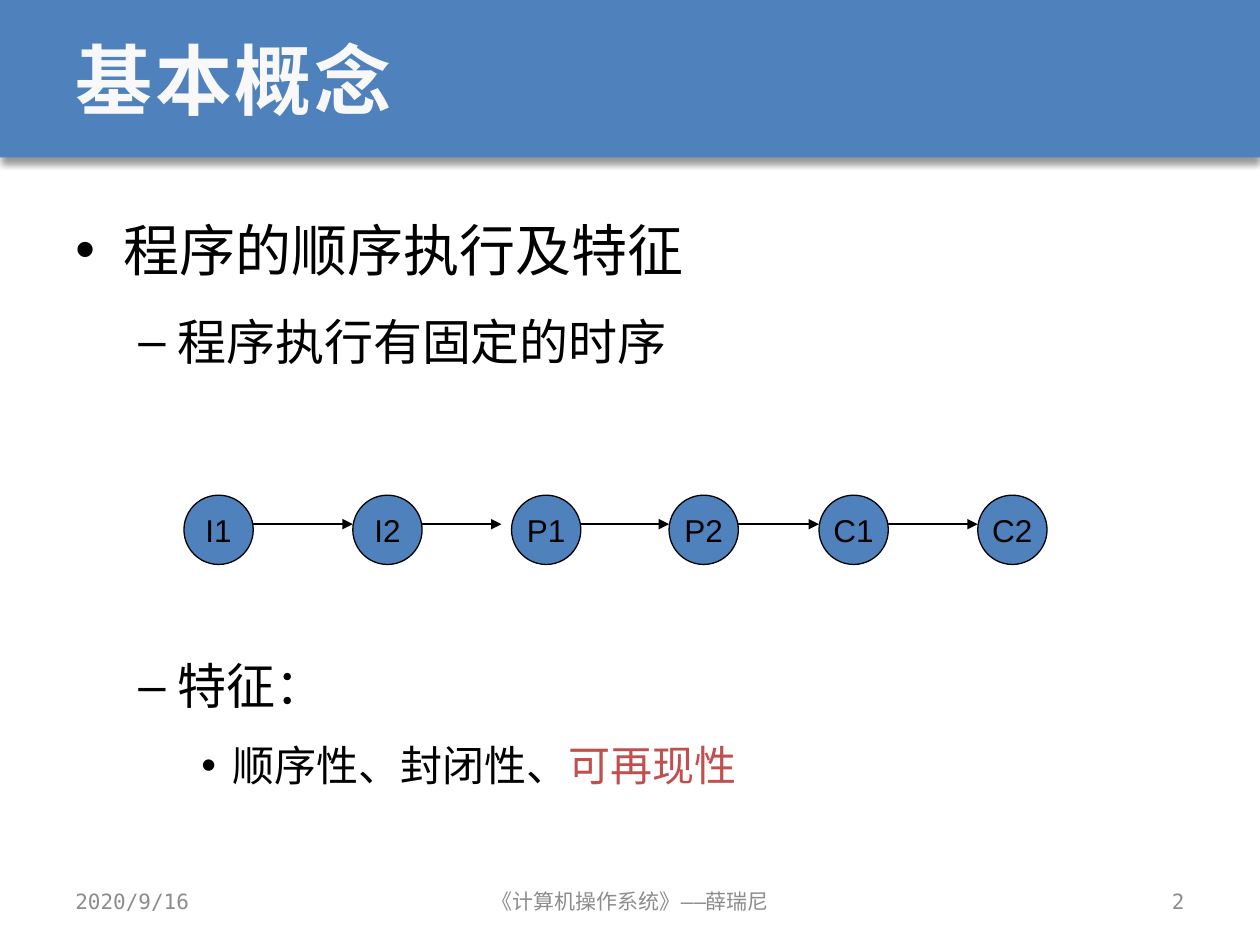
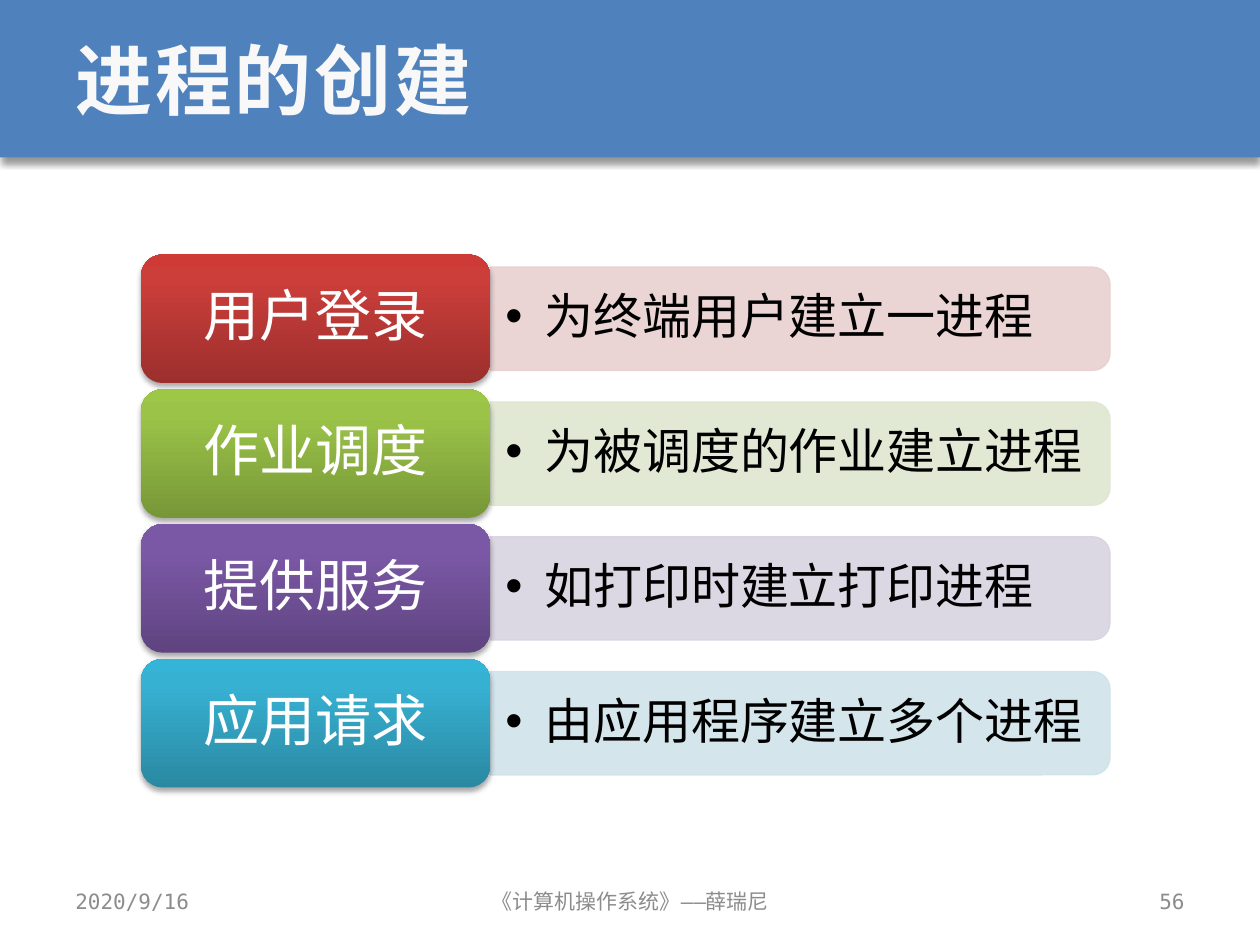
from lxml.etree import SubElement
from pptx import Presentation
from pptx.dml.color import RGBColor
from pptx.enum.shapes import MSO_CONNECTOR, MSO_SHAPE
from pptx.enum.text import MSO_ANCHOR, MSO_AUTO_SIZE, PP_ALIGN
from pptx.oxml import parse_xml
from pptx.oxml.ns import nsdecls, qn
from pptx.util import Inches, Pt

COLORS = {
    "band": "4F81BD",
    "title": "F8F8F8",
    "text": "000000",
    "accent": "C0504D",
    "footer": "8C8C8C",
    "white": "FFFFFF",
}
MONO, SANS, CJK = "DejaVu Sans Mono", "Arial", "Noto Sans CJK SC"


def write(paragraph, text, size=12, font=MONO, color="text", bold=False, spacing=None):
    """Add one formatted run to a paragraph."""
    run = paragraph.add_run()
    run.text = text
    run.font.size = Pt(size)
    run.font.bold = bold
    run.font.color.rgb = RGBColor.from_string(COLORS[color])
    run.font.name = font
    properties = run._r.get_or_add_rPr()
    SubElement(properties, qn("a:ea")).set("typeface", font)
    if spacing:
        properties.set("spc", str(int(spacing * 100)))


def set_bullet(paragraph, character, left, hanging):
    """Give a paragraph a bullet with a hanging indent."""
    properties = paragraph._p.get_or_add_pPr()
    properties.set("marL", str(Inches(left)))
    properties.set("indent", str(-Inches(hanging)))
    SubElement(properties, qn("a:buFont")).set("typeface", SANS)
    SubElement(properties, qn("a:buChar")).set("char", character)


def add_shadow(shape, blur, distance, opacity):
    """Cast a black shadow straight down."""
    shape._element.spPr.append(parse_xml(
        f'<a:effectLst {nsdecls("a")}><a:outerShdw blurRad="{Pt(blur)}" '
        f'dist="{Pt(distance)}" dir="5400000" algn="ctr" rotWithShape="0">'
        f'<a:srgbClr val="000000"><a:alpha val="{opacity * 1000}"/></a:srgbClr>'
        '</a:outerShdw></a:effectLst>'))


def fill_gradient(shape, stops):
    """Fill a shape from bottom to top with (position, colour) stops."""
    shape.fill.background()
    properties = shape._element.spPr
    stop_list = "".join(
        f'<a:gs pos="{position * 1000}"><a:srgbClr val="{color}"/></a:gs>'
        for position, color in stops)
    properties.replace(properties.find(qn("a:noFill")), parse_xml(
        f'<a:gradFill {nsdecls("a")} rotWithShape="1"><a:gsLst>{stop_list}</a:gsLst>'
        '<a:lin ang="16200000" scaled="0"/></a:gradFill>'))


def set_opacity(shape, percent):
    """Make a shape's fill and line partly transparent."""
    for color in shape._element.spPr.iter(qn("a:srgbClr")):
        SubElement(color, qn("a:alpha")).set("val", str(percent * 1000))


class Deck:
    """Holds the shared style and the current slide."""

    def __init__(self):
        self.presentation = Presentation()
        self.presentation.slide_width = Inches(10)
        self.presentation.slide_height = Inches(7.5)
        self.slide = None

    def start_slide(self, title, number):
        layout = self.presentation.slide_layouts[5]
        self.slide = self.presentation.slides.add_slide(layout)
        # Title band, behind the title
        band = self.shape(MSO_SHAPE.RECTANGLE, 0, 0, 10, 1.25, COLORS["band"])
        add_shadow(band, 4, 3, 40)
        self.slide.shapes._spTree.insert(2, band._element)
        # Title
        placeholder = self.slide.shapes.title
        placeholder.left, placeholder.top = Inches(0.5), Inches(0)
        placeholder.width, placeholder.height = Inches(9), Inches(1.25)
        frame = placeholder.text_frame
        frame.auto_size = MSO_AUTO_SIZE.NONE
        frame.vertical_anchor = MSO_ANCHOR.MIDDLE
        paragraph = frame.paragraphs[0]
        paragraph.alignment = PP_ALIGN.LEFT
        write(paragraph, title, size=44, color="title", bold=True, spacing=1.5)
        # Footer
        for text, left, width, alignment in (
            ("2020/9/16", 0.5, 2.33, PP_ALIGN.LEFT),
            ("《计算机操作系统》——薛瑞尼", 3.42, 3.17, PP_ALIGN.CENTER),
            (str(number), 7.17, 2.33, PP_ALIGN.RIGHT),
        ):
            frame = self.text_box(left, 6.95, width, 0.4, MSO_ANCHOR.MIDDLE)
            frame.paragraphs[0].alignment = alignment
            write(frame.paragraphs[0], text, color="footer")

    def text_box(self, left, top, width, height, anchor=MSO_ANCHOR.TOP):
        box = self.slide.shapes.add_textbox(
            Inches(left), Inches(top), Inches(width), Inches(height))
        box.text_frame.word_wrap = True
        box.text_frame.vertical_anchor = anchor
        return box.text_frame

    def shape(self, kind, left, top, width, height, fill=None, line=None):
        shape = self.slide.shapes.add_shape(
            kind, Inches(left), Inches(top), Inches(width), Inches(height))
        # add_shadow supplies its own effect list where one is wanted
        if kind not in (MSO_SHAPE.RECTANGLE, MSO_SHAPE.ROUNDED_RECTANGLE):
            shape.shadow.inherit = False
        if fill:
            shape.fill.solid()
            shape.fill.fore_color.rgb = RGBColor.from_string(fill)
        if line:
            shape.line.color.rgb = RGBColor.from_string(line)
            shape.line.width = Pt(0.75)
        else:
            shape.line.fill.background()
        return shape

    def label(self, shape, text, wrap=True, **text_format):
        frame = shape.text_frame
        frame.word_wrap = wrap
        frame.vertical_anchor = MSO_ANCHOR.MIDDLE
        paragraph = frame.paragraphs[0]
        paragraph.alignment = PP_ALIGN.CENTER
        write(paragraph, text, **text_format)

    def arrow(self, start, end, y):
        connector = self.slide.shapes.add_connector(
            MSO_CONNECTOR.STRAIGHT, Inches(start), Inches(y), Inches(end), Inches(y))
        connector.line.color.rgb = RGBColor.from_string(COLORS["text"])
        connector.line.width = Pt(0.75)
        SubElement(connector.line._get_or_add_ln(), qn("a:tailEnd")).set("type", "triangle")
        SubElement(connector._element.spPr, qn("a:effectLst"))

    def outline(self, items):
        """Add bulleted paragraphs: level, space before, then (text, colour) runs."""
        levels = [("•", 0.38, 0.38, 32), ("–", 0.81, 0.31, 28), ("•", 1.25, 0.25, 24)]
        frame = self.text_box(0.5, 1.5, 9, 5.33)
        for index, (level, space_before, runs) in enumerate(items):
            paragraph = frame.add_paragraph() if index else frame.paragraphs[0]
            character, left, hanging, size = levels[level]
            set_bullet(paragraph, character, left, hanging)
            paragraph.line_spacing = 1.3
            paragraph.space_before = Pt(space_before)
            for text, color in runs:
                write(paragraph, text, size=size, color=color)

    def step_chain(self, steps, top, diameter, arrow_y, arrow_ends):
        """Add circles in a row, with an arrow from each to the next."""
        for name, left in steps:
            circle = self.shape(MSO_SHAPE.OVAL, left, top, diameter, diameter,
                                COLORS["band"], COLORS["text"])
            self.label(circle, name, wrap=False, size=18, font=SANS)
        for (_, left), end in zip(steps, arrow_ends):
            self.arrow(left + diameter, end, arrow_y)

    def cause_row(self, top, cause, result, tint, stops):
        """Add a coloured cause tile with its result panel to the right."""
        tile_left, tile_width, tile_height = 1.12, 2.77, 1.02
        panel_left, panel_width, panel_height = tile_left + tile_width, 4.92, 0.82
        middle = top + tile_height / 2
        # Result panel: turned so that its rounded corners face right
        panel = self.shape(
            MSO_SHAPE.ROUND_2_SAME_RECTANGLE,
            panel_left + (panel_width - panel_height) / 2, middle - panel_width / 2,
            panel_height, panel_width, tint, tint)
        panel.rotation = 90
        set_opacity(panel, 90)
        frame = self.text_box(panel_left, middle - 0.37, 4.88, 0.74, MSO_ANCHOR.MIDDLE)
        frame.margin_left = frame.margin_right = Inches(0.12)
        frame.margin_top = frame.margin_bottom = Inches(0.06)
        paragraph = frame.paragraphs[0]
        set_bullet(paragraph, "•", 0.31, 0.31)
        paragraph.line_spacing = 0.9
        write(paragraph, result, size=28, font=CJK)
        # Cause tile
        tile = self.shape(MSO_SHAPE.ROUNDED_RECTANGLE, tile_left, top, tile_width, tile_height)
        fill_gradient(tile, stops)
        add_shadow(tile, 3.1, 1.8, 35)
        self.label(tile, cause, size=32, font=CJK, color="white")
        tile.text_frame.paragraphs[0].line_spacing = 0.9


def build_concept_slide(deck):
    deck.start_slide("基本概念", 2)
    # The third item leaves room above it for the chain
    deck.outline([
        (0, 0, [("程序的顺序执行及特征", "text")]),
        (1, 6.5, [("程序执行有固定的时序", "text")]),
        (1, 153, [("特征：", "text")]),
        (2, 5.6, [("顺序性、封闭性、", "text"), ("可再现性", "accent")]),
    ])
    steps = [("I1", 1.46), ("I2", 2.8), ("P1", 4.06), ("P2", 5.31), ("C1", 6.5), ("C2", 7.76)]
    deck.step_chain(steps, top=3.93, diameter=0.55, arrow_y=4.16,
                    arrow_ends=[2.8, 3.98, 5.31, 6.5, 7.76])


def build_creation_slide(deck):
    deck.start_slide("进程的创建", 56)
    rows = [
        ("用户登录", "为终端用户建立一进程", "E8D0D0", ("9C2F2D", "CB3E3A", "CE3B37")),
        ("作业调度", "为被调度的作业建立进程", "DEE7D1", ("779737", "9BC348", "9DC746")),
        ("提供服务", "如打印时建立打印进程", "D8D3E0", ("5F4480", "7B58A6", "7C57A8")),
        ("应用请求", "由应用程序建立多个进程", "D0E3EA", ("2A88A2", "37B1D2", "34B4D6")),
    ]
    for index, (cause, result, tint, shades) in enumerate(rows):
        stops = list(zip((0, 80, 100), shades))
        deck.cause_row(2.02 + 1.07 * index, cause, result, tint, stops)


def main():
    deck = Deck()
    build_concept_slide(deck)
    build_creation_slide(deck)
    deck.presentation.save("out.pptx")


if __name__ == "__main__":
    main()
